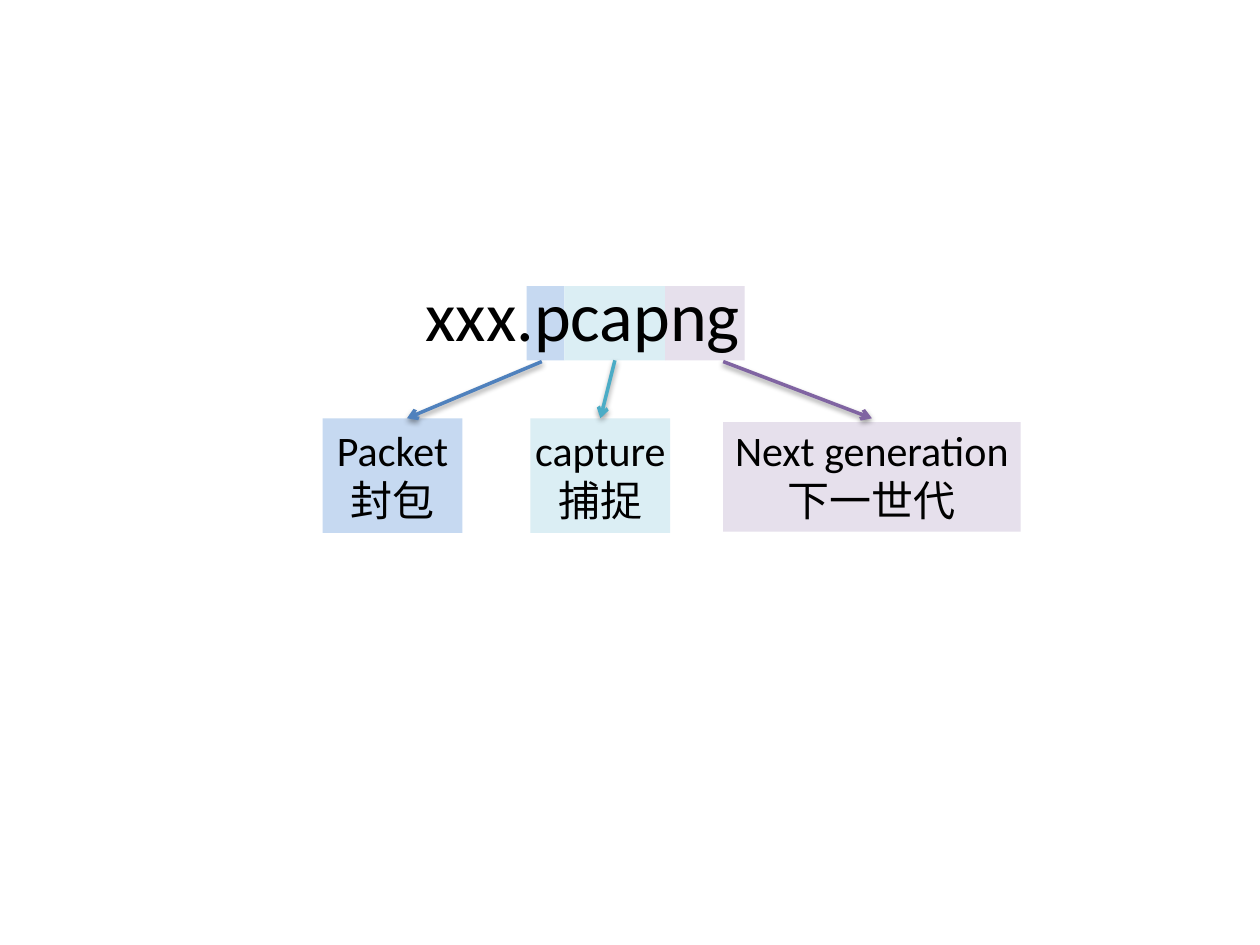
from lxml import etree
from pptx import Presentation
from pptx.dml.color import RGBColor
from pptx.enum.shapes import MSO_CONNECTOR, MSO_SHAPE
from pptx.enum.text import MSO_AUTO_SIZE, PP_ALIGN
from pptx.oxml.ns import qn
from pptx.util import Emu, Pt

RECTANGLE = MSO_SHAPE.RECTANGLE
STRAIGHT = MSO_CONNECTOR.STRAIGHT
GROW = MSO_AUTO_SIZE.SHAPE_TO_FIT_TEXT
LEFT, CENTER = PP_ALIGN.LEFT, PP_ALIGN.CENTER
TOP, BOTTOM = 0, 2
EMU_PER_PX = 9144
BLANK_LAYOUT = 6

COLORS = {
    "text": "000000",
    "packet": "C6D9F1",
    "capture": "DBEEF4",
    "generation": "E6E0EC",
    "packet arrow": "4F81BD",
    "capture arrow": "4BACC6",
    "generation arrow": "8064A2",
}


def px(*lengths):
    return [Emu(length * EMU_PER_PX) for length in lengths]


def color(name):
    return RGBColor.from_string(COLORS[name])


class Diagram:
    latin = "Calibri"
    east_asian = "Noto Sans CJK SC"

    def __init__(self, width, height):
        self.deck = Presentation()
        self.deck.slide_width, self.deck.slide_height = px(width, height)
        self.page = self.deck.slides.add_slide(self.deck.slide_layouts[BLANK_LAYOUT])

    def group(self):
        return self.page.shapes.add_group_shape()

    def rectangle(self, group, bounds, fill):
        box = group.shapes.add_shape(RECTANGLE, *px(*bounds))
        box.shadow.inherit = False
        box.fill.solid()
        box.fill.fore_color.rgb = color(fill)
        box.line.fill.background()
        return box

    def text(self, group, bounds, lines, size, align):
        box = group.shapes.add_textbox(*px(*bounds))
        frame = box.text_frame
        for name, value in {"word_wrap": False, "auto_size": GROW}.items():
            setattr(frame, name, value)
        for index, line in enumerate(lines):
            para = frame.add_paragraph() if index else frame.paragraphs[0]
            para.alignment = align
            span = para.add_run()
            span.text = line
            for name, value in {"name": self.latin, "size": Pt(size)}.items():
                setattr(span.font, name, value)
            span.font.color.rgb = color("text")
            properties = span.font._element
            etree.SubElement(properties, qn("a:ea"), typeface=self.east_asian)
        return box

    def arrow(self, start, end, line_color, source=None, target=None):
        line = self.page.shapes.add_connector(STRAIGHT, *px(*start, *end))
        if source is not None:
            line.begin_connect(source, BOTTOM)
        if target is not None:
            line.end_connect(target, TOP)
        line.line.color.rgb = color(line_color)
        line.line.width = Pt(2)
        etree.SubElement(line.line._get_or_add_ln(), qn("a:tailEnd"), type="arrow")
        effects = etree.SubElement(line._element.spPr, qn("a:effectLst"))
        shadow = etree.SubElement(
            effects, qn("a:outerShdw"), blurRad="40000", dist="20000",
            dir="5400000", rotWithShape="0",
        )
        shade = etree.SubElement(shadow, qn("a:srgbClr"), val=COLORS["text"])
        etree.SubElement(shade, qn("a:alpha"), val="38000")

    def save(self):
        self.deck.save("out.pptx")


def main():
    diagram = Diagram(1000, 750)

    labels = {}
    for part, panel, text_bounds, lines in (
        ("packet", (256, 332, 111, 91), (257, 332, 109, 91), ("Packet", "封包")),
        ("capture", (421, 332, 111, 91), (414, 332, 125, 91), ("capture", "捕捉")),
        ("generation", (574, 335, 236, 87), (572, 332, 240, 91),
         ("Next generation", "下一世代")),
    ):
        group = diagram.group()
        diagram.rectangle(group, panel, part)
        labels[part] = diagram.text(group, text_bounds, lines, 24, CENTER)

    file_name = diagram.group()
    highlights = {}
    left = 418
    for part, width in (("packet", 30), ("capture", 80), ("generation", 63)):
        highlights[part] = diagram.rectangle(file_name, (left, 227, width, 59), part)
        left += width
    diagram.text(file_name, (328, 211, 272, 77), ("xxx.pcapng",), 40, LEFT)

    diagram.arrow((430, 287), (323, 332), "packet arrow")
    diagram.arrow((488, 286), (477, 332), "capture arrow",
                  source=highlights["capture"], target=labels["capture"])
    diagram.arrow((574, 287), (692, 332), "generation arrow",
                  target=labels["generation"])

    diagram.save()


if __name__ == "__main__":
    main()
